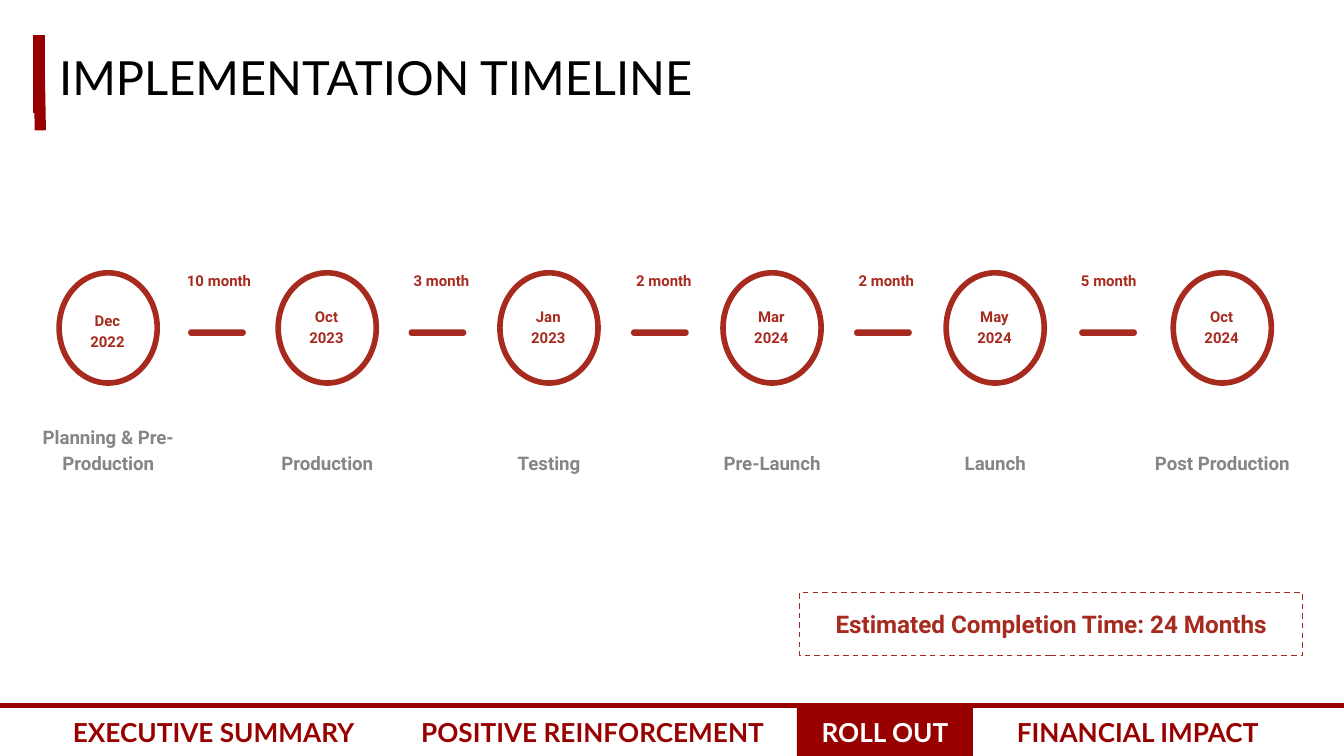
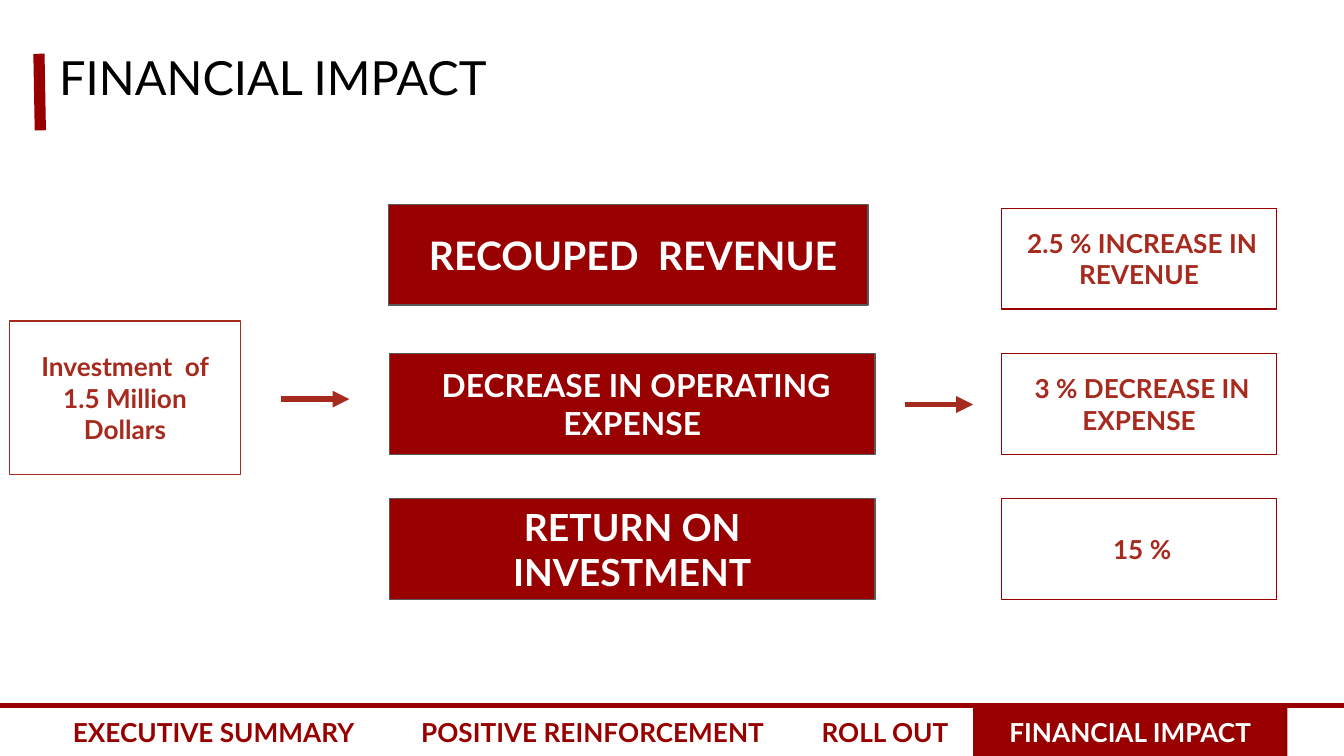
from lxml.etree import SubElement
from pptx import Presentation
from pptx.dml.color import RGBColor
from pptx.enum.dml import MSO_LINE
from pptx.enum.shapes import MSO_CONNECTOR, MSO_SHAPE
from pptx.enum.text import MSO_ANCHOR, MSO_AUTO_SIZE, PP_ALIGN
from pptx.oxml.ns import qn
from pptx.util import Inches, Pt

# The grid: square cells, 100 columns by 56.25 rows
CELL = Inches(0.1)
COLS, ROWS = 100, 56.25

HUES = {
    "band": "980000", "block": "990000", "brick": "A72A1E", "edge": "595959",
    "gray": "858585", "black": "000000", "white": "FFFFFF",
}
LOOKS = {
    "title": {"name": "Lato", "size": Pt(25.2), "bold": False},
    "tab": {"name": "Lato", "size": Pt(14), "bold": True},
    "date": {"name": "Roboto", "size": Pt(8), "bold": True},
    "stage": {"name": "Roboto", "size": Pt(10), "bold": True},
    "total": {"name": "Roboto", "size": Pt(13), "bold": True},
}
LOOSE = {"line_spacing": 1.15}
AFTER = {"line_spacing": 1.15, "space_after": Pt(16)}
TABS = [("EXECUTIVE SUMMARY", 26), ("POSITIVE REINFORCEMENT", 30.4),
        ("ROLL OUT", 13.1), ("FINANCIAL IMPACT", 24.5)]
STAGES = [  # left edge of circle, date, name
    (4.4, "Dec 2022", "Planning & Pre-Production"),
    (20.7, "Oct 2023", "Production"),
    (37.2, "Jan 2023", "Testing"),
    (53.8, "Mar 2024", "Pre-Launch"),
    (70.4, "May 2024", "Launch"),
    (87.3, "Oct 2024", "Post Production"),
]
SPANS = ["10 month", "3 month", "2 month", "2 month", "5 month"]
GOALS = [  # box, text, size
    ((28.9, 15.2, 35.7, 7.5), " RECOUPED  REVENUE", 21),
    ((29, 26.3, 36.1, 7.5), " DECREASE IN OPERATING EXPENSE", 17),
    ((29, 37.1, 36.1, 7.5), "RETURN ON INVESTMENT", 20),
]
GAINS = [" 2.5 % INCREASE IN REVENUE", " 3 % DECREASE IN EXPENSE", " 15 %"]


def hue(name):
    return RGBColor.from_string(HUES[name])


def cells(*nums):
    return [round(num * CELL) for num in nums]


def assign(item, values):
    for key, val in values.items():
        setattr(item, key, val)


def write(shape, words, look, ink, align=PP_ALIGN.CENTER,
          anchor=MSO_ANCHOR.TOP, flow=None):
    frame = shape.text_frame
    assign(frame, {"word_wrap": True, "auto_size": MSO_AUTO_SIZE.NONE,
                   "vertical_anchor": anchor})
    for side in ("left", "top", "right", "bottom"):
        setattr(frame, f"margin_{side}", CELL)
    para = frame.paragraphs[0]
    assign(para, {"alignment": align, **(flow or {})})
    run = para.add_run()
    run.text = words
    assign(run.font, look)
    run.font.color.rgb = hue(ink)


def form(shapes, kind, box, fill=None, edge=None, width=0.75):
    shape = shapes.add_shape(kind, *cells(*box))
    shape.shadow.inherit = False
    if fill:
        shape.fill.solid()
        shape.fill.fore_color.rgb = hue(fill)
    else:
        shape.fill.background()
    if edge:
        shape.line.color.rgb = hue(edge)
        shape.line.width = Pt(width)
    else:
        shape.line.fill.background()
    return shape


def panel(shapes, box, words, look, ink, fill=None, edge=None):
    shape = form(shapes, MSO_SHAPE.RECTANGLE, box, fill, edge)
    write(shape, words, look, ink, anchor=MSO_ANCHOR.MIDDLE)
    return shape


def label(shapes, box, words, look, ink, **rest):
    write(shapes.add_textbox(*cells(*box)), words, look, ink, **rest)


def rule(shapes, ends, ink, width, arrow=False):
    line = shapes.add_connector(MSO_CONNECTOR.STRAIGHT, *cells(*ends))
    line.line.color.rgb = hue(ink)
    line.line.width = Pt(width)
    if arrow:
        SubElement(line.line._get_or_add_ln(), qn("a:tailEnd"), type="triangle")
    SubElement(line._element.spPr, qn("a:effectLst"))


def head(slide, words, box=(3.4, 2.6, 93.2, 6.3)):
    title = slide.shapes.title
    assign(title, dict(zip(("left", "top", "width", "height"), cells(*box))))
    write(title, words, LOOKS["title"], "black", align=PP_ALIGN.LEFT)
    left, top = box[:2]
    rule(slide.shapes, (left - 0.4, top + 7.1, left - 0.5, top + 1.4), "band", 6)


def footer(slide, active, trim=0, top=52.5):
    """Draw the tab row; trim narrows the last tab."""
    left = 2.9
    for name, wide in TABS:
        if name == TABS[-1][0]:
            wide -= trim
        fill, ink = ("band", "white") if name == active else ("white", "band")
        panel(slide.shapes, (left, top + 0.2, wide, ROWS - top - 0.2), name,
              LOOKS["tab"], ink, fill)
        left += wide
    rule(slide.shapes, (0, top, COLS, top), "band", 3)


def stage(slide, box, date, name, drop):
    left, top, wide, high = box
    mid = left + wide / 2
    group = slide.shapes.add_group_shape().shapes
    form(group, MSO_SHAPE.OVAL, box, edge="brick", width=3)
    label(group, (mid - 2.7, top + drop, 5.3, 6.2), date, LOOKS["date"],
          "brick", flow=AFTER)
    label(group, (mid - 8, top + high + 1.6, 16, 6.2), name, LOOKS["stage"],
          "gray", anchor=MSO_ANCHOR.BOTTOM, flow=LOOSE)


def track(slide, top=20.3, wide=7.3, high=8.2):
    """Draw the stages, and a bar centred in each gap between them."""
    for num, (left, date, name) in enumerate(STAGES):
        stage(slide, (left, top, wide, high), date, name, 1.4 if num else 1.7)
    for num, span in enumerate(SPANS):
        mid = (STAGES[num][0] + wide + STAGES[num + 1][0]) / 2
        bar = form(slide.shapes, MSO_SHAPE.ROUNDED_RECTANGLE,
                   (mid - 2.2, top + 4.2, 4.3, 0.5), "brick")
        bar.adjustments[0] = 0.5
        label(slide.shapes, (11.2 + 16.55 * num, top - 1.3, 10.2, 3.4), span,
              LOOKS["date"], "brick", flow=AFTER)


def timeline(slide):
    head(slide, "IMPLEMENTATION TIMELINE")
    rule(slide.shapes, (2.9, 8.4, 2.9, 2.6), "band", 6)
    footer(slide, "ROLL OUT")
    track(slide)
    total = panel(slide.shapes, (59.5, 44.1, 37.4, 4.7),
                  "Estimated Completion Time: 24 Months", LOOKS["total"],
                  "brick", edge="brick")
    total.line.dash_style = MSO_LINE.DASH


def impact(slide):
    shapes = slide.shapes
    head(slide, "FINANCIAL IMPACT")
    footer(slide, "FINANCIAL IMPACT", trim=1.1)
    for box, words, size in GOALS:
        panel(shapes, box, words, {**LOOKS["tab"], "size": Pt(size)}, "white",
              "block", "edge")
    for num, words in enumerate(GAINS):
        panel(shapes, (74.5, 15.5 + 10.8 * num, 20.5, 7.5), words,
              LOOKS["tab"], "brick", "white", "block")
    panel(shapes, (0.7, 23.9, 17.2, 11.4), "Investment  of 1.5 Million Dollars",
          LOOKS["tab"], "brick", "white", "brick")
    for left, top in ((20.9, 29.7), (67.3, 30.1)):
        rule(shapes, (left, top, left + 5.1, top), "brick", 3, arrow=True)


def main():
    deck = Presentation()
    deck.slide_width, deck.slide_height = cells(COLS, ROWS)
    for build in (timeline, impact):
        build(deck.slides.add_slide(deck.slide_layouts[5]))
    deck.save("out.pptx")


if __name__ == "__main__":
    main()
